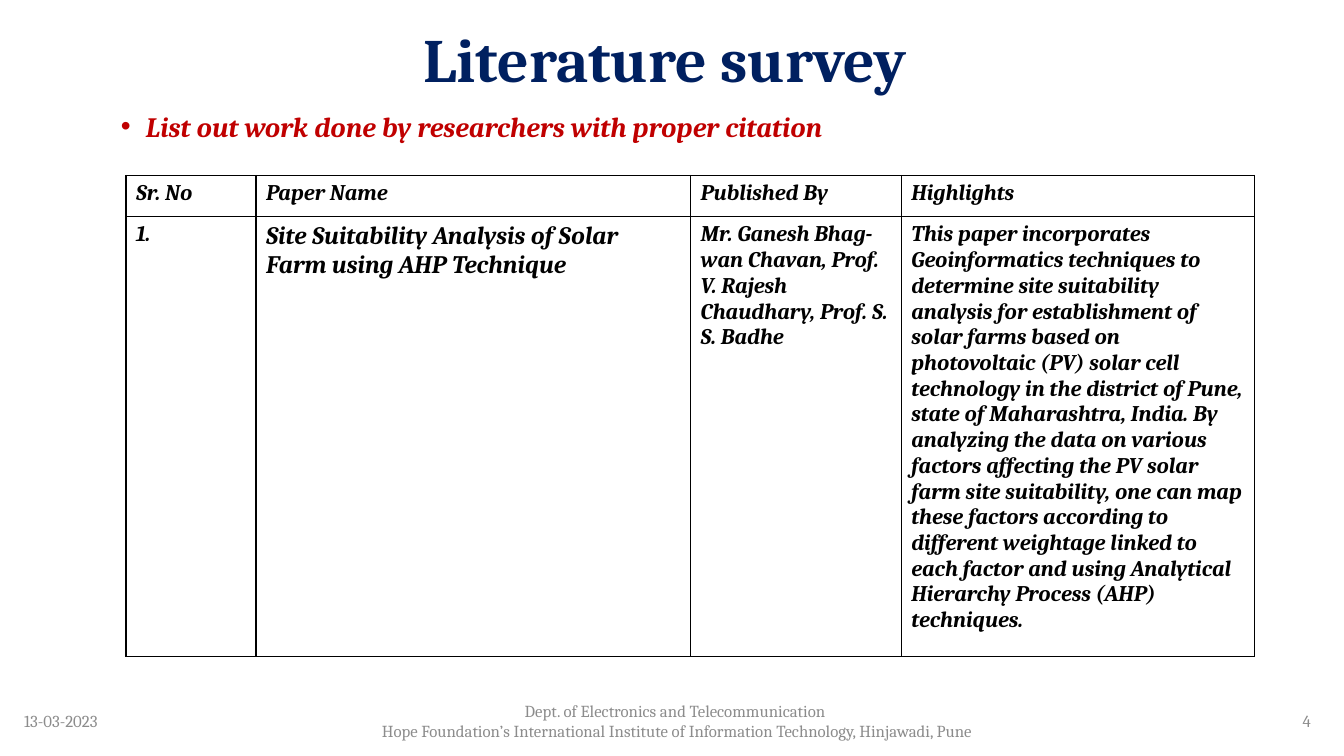
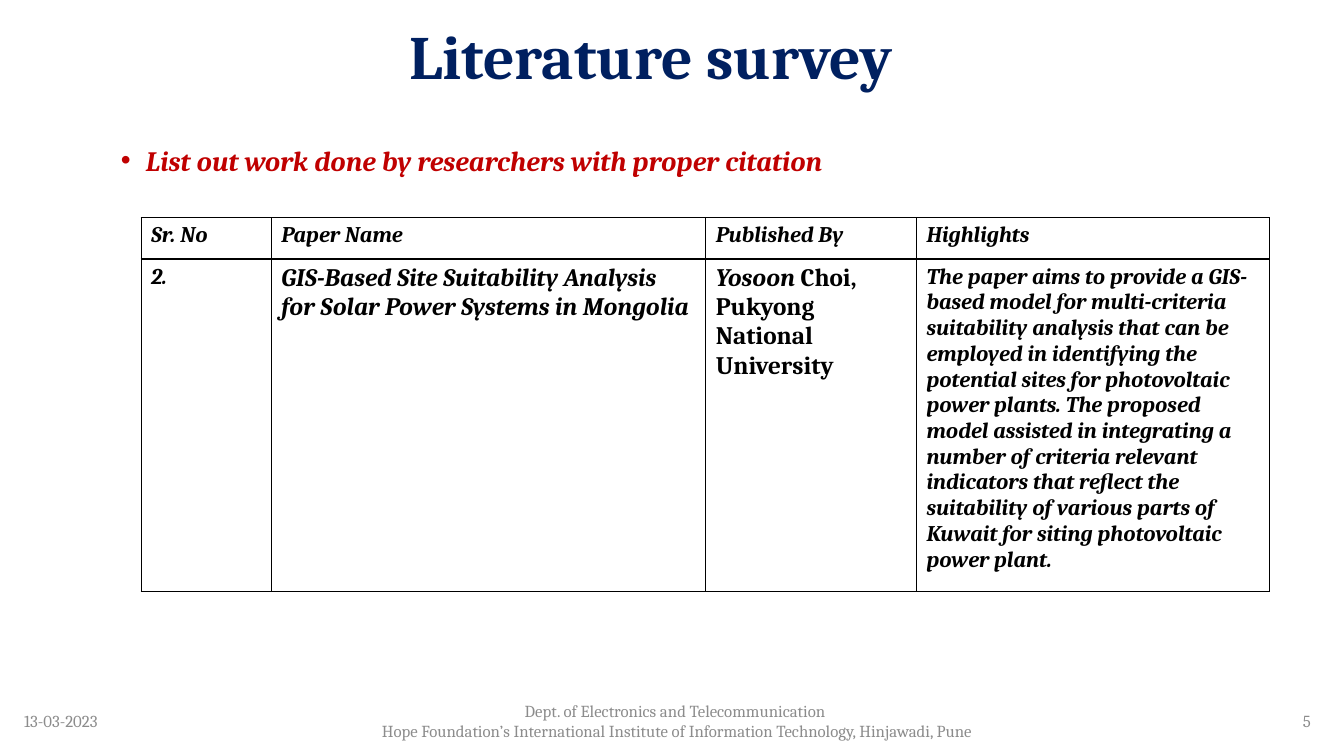
from copy import deepcopy

from pptx import Presentation
from pptx.dml.color import RGBColor
from pptx.enum.text import MSO_ANCHOR, PP_ALIGN
from pptx.oxml import parse_xml
from pptx.oxml.ns import nsdecls
from pptx.util import Inches, Pt

FONT = "Cambria"
NAVY = RGBColor(0x00, 0x20, 0x60)
RED = RGBColor(0xC0, 0x00, 0x00)
GREY = RGBColor(0x8C, 0x8C, 0x8C)
BLACK = RGBColor(0x00, 0x00, 0x00)

SLIDE_WIDTH, SLIDE_HEIGHT = 13.33, 7.5
TITLE_LAYOUT = 5
TITLE_HEIGHT = 0.96
FOOTER_TOP, FOOTER_HEIGHT = 6.95, 0.4
COLUMN_WIDTHS = (1.29, 4.31, 2.09, 3.5)
HEADER_HEIGHT = 0.41
HEADINGS = ("Sr. No", "Paper Name", "Published By", "Highlights")
BODY_SIZE, LARGE_SIZE = 16, 18

DATE = "13-03-2023"
DEPARTMENT = (
    "Dept. of Electronics and Telecommunication \n"
    "Hope Foundation’s International Institute of Information Technology, "
    "Hinjawadi, Pune"
)

# Each cell is a list of spans: text, size, italic.
SURVEYS = (
    {
        "number": 4,
        "title_at": (0, 0.14),
        "prompt_top": 1,
        "table_at": (1.25, 1.74),
        "row_height": 4.18,
        "cells": (
            [("1.", BODY_SIZE, True)],
            [("Site Suitability Analysis of Solar Farm using AHP Technique",
              LARGE_SIZE, True)],
            [("Mr. Ganesh Bhag-\nwan Chavan, Prof. V. Rajesh Chaudhary, "
              "Prof. S. S. Badhe", BODY_SIZE, True)],
            [("This paper incorporates Geoinformatics techniques to determine "
              "site suitability analysis for establishment of solar farms based "
              "on photovoltaic (PV) solar cell technology in the district of "
              "Pune, state of Maharashtra, India. By analyzing the data on "
              "various factors affecting the PV solar farm site suitability, "
              "one can map these factors according to different weightage "
              "linked to each factor and using Analytical Hierarchy Process "
              "(AHP) techniques.", BODY_SIZE, True)],
        ),
    },
    {
        "number": 5,
        "title_at": (-0.14, 0.11),
        "prompt_top": 1.34,
        "table_at": (1.4, 2.16),
        "row_height": 3.15,
        "cells": (
            [("2.", BODY_SIZE, True)],
            [("GIS-Based Site Suitability Analysis for Solar Power Systems in "
              "Mongolia", LARGE_SIZE, True)],
            [("Yosoon ", LARGE_SIZE, True),
             ("Choi, Pukyong National University", LARGE_SIZE, False)],
            [("The paper aims to provide a GIS-based model for multi-criteria "
              "suitability analysis that can be employed in identifying the "
              "potential sites for photovoltaic power plants. The proposed "
              "model assisted in integrating a number of criteria relevant "
              "indicators that reflect the suitability of various parts of "
              "Kuwait for siting photovoltaic power plant.", BODY_SIZE, True)],
        ),
    },
)


def style_run(run, size, color, bold=False, italic=False):
    font = run.font
    font.name = FONT
    font.size = Pt(size)
    font.color.rgb = color
    font.bold = bold
    font.italic = italic


def add_title(page, left, top):
    title = page.shapes.title
    title.left, title.top = Inches(left), Inches(top)
    title.width, title.height = Inches(SLIDE_WIDTH), Inches(TITLE_HEIGHT)
    frame = title.text_frame
    frame.text = "Literature survey "
    frame.vertical_anchor = MSO_ANCHOR.MIDDLE
    paragraph = frame.paragraphs[0]
    paragraph.alignment = PP_ALIGN.CENTER
    paragraph.line_spacing = 0.9
    style_run(paragraph.runs[0], 44, NAVY, bold=True)


def add_text(page, text, left, top, width, height):
    box = page.shapes.add_textbox(*map(Inches, (left, top, width, height)))
    box.text_frame.word_wrap = True
    box.text_frame.text = text
    return box.text_frame


def add_footer(page, number):
    parts = (
        (DATE, 0.14, 1.19, PP_ALIGN.LEFT),
        (DEPARTMENT, 2.19, 9.05, PP_ALIGN.CENTER),
        (str(number), 12.57, 0.53, PP_ALIGN.RIGHT),
    )
    for text, left, width, alignment in parts:
        frame = add_text(page, text, left, FOOTER_TOP, width, FOOTER_HEIGHT)
        frame.vertical_anchor = MSO_ANCHOR.MIDDLE
        for paragraph in frame.paragraphs:
            paragraph.alignment = alignment
            style_run(paragraph.runs[0], 12, GREY)


def add_prompt(page, top):
    frame = add_text(page, "List out work done by researchers with proper citation",
                     1.1, top, 11.5, 0.5)
    paragraph = frame.paragraphs[0]
    paragraph.line_spacing = 1.1
    properties = paragraph._p.get_or_add_pPr()
    properties.set("marL", str(Inches(0.25)))
    properties.set("indent", str(-Inches(0.25)))
    properties.append(parse_xml(f'<a:buFont {nsdecls("a")} typeface="Arial"/>'))
    properties.append(parse_xml(f'<a:buChar {nsdecls("a")} char="•"/>'))
    style_run(paragraph.runs[0], 20, RED, bold=True, italic=True)


def add_borders(cell):
    properties = cell._tc.get_or_add_tcPr()
    for side in ("lnL", "lnR", "lnT", "lnB"):
        properties.append(parse_xml(
            f'<a:{side} {nsdecls("a")} w="{Pt(1)}"><a:solidFill>'
            f'<a:srgbClr val="{BLACK}"/></a:solidFill></a:{side}>'))


def fill_cell(cell, spans):
    """Write the spans into one paragraph, with a line break at each newline."""
    add_borders(cell)
    cell.fill.background()
    paragraph = cell.text_frame.paragraphs[0]
    for text, size, italic in spans:
        for index, line in enumerate(text.split("\n")):
            if index:
                paragraph.add_line_break()
                line_break = paragraph._p[-1]
                line_break.append(deepcopy(paragraph.runs[-1]._r.rPr))
            run = paragraph.add_run()
            run.text = line
            style_run(run, size, BLACK, bold=True, italic=italic)


def add_survey_table(page, left, top, row_height, cells):
    heights = (HEADER_HEIGHT, row_height)
    table = page.shapes.add_table(
        len(heights), len(COLUMN_WIDTHS), Inches(left), Inches(top),
        Inches(sum(COLUMN_WIDTHS)), Inches(sum(heights))).table
    table.first_row = False
    table.horz_banding = False
    for column, width in zip(table.columns, COLUMN_WIDTHS):
        column.width = Inches(width)
    headings = [[(heading, BODY_SIZE, True)] for heading in HEADINGS]
    for row, height, contents in zip(table.rows, heights, (headings, cells)):
        row.height = Inches(height)
        for cell, spans in zip(row.cells, contents):
            fill_cell(cell, spans)


def main():
    deck = Presentation()
    deck.slide_width = Inches(SLIDE_WIDTH)
    deck.slide_height = Inches(SLIDE_HEIGHT)
    for survey in SURVEYS:
        page = deck.slides.add_slide(deck.slide_layouts[TITLE_LAYOUT])
        add_title(page, *survey["title_at"])
        add_footer(page, survey["number"])
        add_prompt(page, survey["prompt_top"])
        add_survey_table(page, *survey["table_at"], survey["row_height"],
                         survey["cells"])
    deck.save("out.pptx")


if __name__ == "__main__":
    main()
